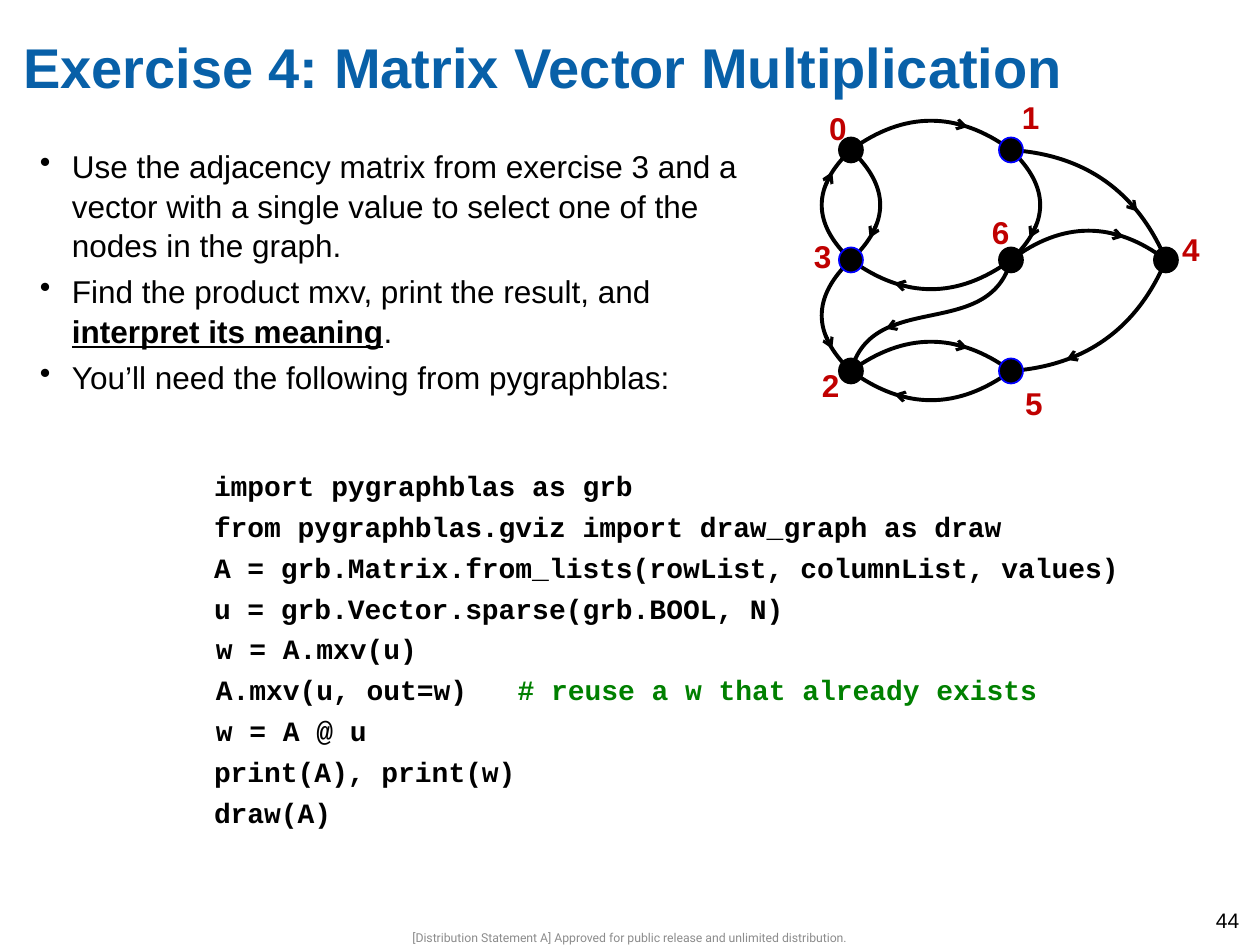
from dataclasses import dataclass, field
from math import hypot
from typing import Any, NamedTuple

from lxml import etree
from pptx import Presentation
from pptx.dml.color import RGBColor
from pptx.enum.shapes import MSO_CONNECTOR, MSO_SHAPE
from pptx.enum.text import MSO_ANCHOR, PP_ALIGN
from pptx.oxml.ns import qn
from pptx.util import Pt

STRAIGHT, OVAL = MSO_CONNECTOR.STRAIGHT, MSO_SHAPE.OVAL
TOP, MIDDLE = MSO_ANCHOR.TOP, MSO_ANCHOR.MIDDLE
LEFT, CENTER = PP_ALIGN.LEFT, PP_ALIGN.CENTER
EMU_PER_PX = 914400 / 126
BLACK, BLUE, RED, GREEN = "000000", "0000FF", "C00000", "008000"
TITLE_BLUE, GREY = "0860A8", "8C8C8C"
NODE_WIDTH, NODE_HEIGHT = 24, 25
LABEL_WIDTH, LABEL_HEIGHT = 34, 42
ARROW_LENGTH = 17
LABEL_INSETS = (13, 6, 13, 6)
NO_INSETS = (0, 0, 0, 0)
# Node centres stand on a grid of three columns and three rows
COLUMNS, ROWS = (851, 1011, 1166), (150, 260, 371)

Point = tuple[float, float]


class Box(NamedTuple):
    left: int
    top: int
    width: int
    height: int


class Node(NamedTuple):
    column: int
    row: int
    label_left: int
    label_top: int
    outline: str = BLACK

    @property
    def center(self) -> Point:
        return COLUMNS[self.column], ROWS[self.row]


class Edge(NamedTuple):
    """A Bézier curve whose handles stand off the chord; negative is to its left."""
    source: int
    target: int
    first_bend: int = -39
    second_bend: int = -39


@dataclass
class Run:
    text: str
    format: dict[str, Any] = field(default_factory=dict)


@dataclass
class Paragraph:
    runs: list[Run]
    margin: int = 0
    bullet: bool = False


@dataclass
class TextStyle:
    font: dict[str, Any]
    color: str = BLACK
    align: Any = LEFT
    anchor: Any = TOP
    insets: tuple[int, int, int, int] = NO_INSETS
    wrap: bool = True
    line_spacing: float = 1.0
    space_before: float = 0


def px(length: float) -> int:
    return round(length * EMU_PER_PX)


def rgb(value: str) -> RGBColor:
    return RGBColor.from_string(value)


def apply(target: Any, values: dict[str, Any]) -> None:
    for name, value in values.items():
        setattr(target, name, value)


def fill_text(frame, paragraphs: list[Paragraph], style: TextStyle) -> None:
    sides = ("margin_left", "margin_top", "margin_right", "margin_bottom")
    apply(frame, dict(zip(sides, map(px, style.insets))))
    apply(frame, {"word_wrap": style.wrap, "vertical_anchor": style.anchor})
    for index, content in enumerate(paragraphs):
        paragraph = frame.add_paragraph() if index else frame.paragraphs[0]
        apply(paragraph, {"alignment": style.align, "line_spacing": style.line_spacing})
        if index:
            paragraph.space_before = Pt(style.space_before)
        properties = paragraph._p.get_or_add_pPr()
        properties.set("marL", str(px(content.margin)))
        if content.bullet:
            properties.set("indent", str(-px(content.margin)))
            etree.SubElement(properties, qn("a:buChar"), char="•")
        for part in content.runs:
            run = paragraph.add_run()
            run.text = part.text
            values = {**style.font, **part.format}
            run.font.color.rgb = rgb(values.pop("color", style.color))
            apply(run.font, values)


def add_text(shapes, box: Box, paragraphs: list[Paragraph], style: TextStyle) -> None:
    fill_text(shapes.add_textbox(*map(px, box)).text_frame, paragraphs, style)


def set_line(shape, color: str, width: float) -> None:
    shape.line.color.rgb = rgb(color)
    shape.line.width = Pt(width)


def curve_point(points: list[Point], t: float) -> Point:
    weights = ((1 - t) ** 3, 3 * t * (1 - t) ** 2, 3 * t ** 2 * (1 - t), t ** 3)
    x, y = (sum(w * v for w, v in zip(weights, axis)) for axis in zip(*points))
    return x, y


def add_edge(shapes, edge: Edge) -> None:
    start, end = NODES[edge.source].center, NODES[edge.target].center
    dx, dy = end[0] - start[0], end[1] - start[1]
    length = hypot(dx, dy)
    handles = [(start[0] + dx * share - dy / length * bend,
                start[1] + dy * share + dx / length * bend)
               for share, bend in ((1 / 3, edge.first_bend), (2 / 3, edge.second_bend))]
    points = [start, *handles, end]

    # Short arrow lying on the curve
    tip = 0.73 if dx else 0.8
    begin = curve_point(points, tip - ARROW_LENGTH / length)
    arrow = shapes.add_connector(STRAIGHT, *map(px, begin + curve_point(points, tip)))
    set_line(arrow, BLACK, 1.75)
    etree.SubElement(arrow.line._get_or_add_ln(), qn("a:tailEnd"), type="arrow")
    etree.SubElement(arrow._element.spPr, qn("a:effectLst"))

    # The three straight segments become one cubic curve
    builder = shapes.build_freeform(*map(px, start))
    builder.add_line_segments([(px(x), px(y)) for x, y in points[1:]], close=False)
    curve = builder.convert_to_shape()
    curve.shadow.inherit = False
    curve.fill.background()
    set_line(curve, BLACK, 2.25)
    outline = curve._element.find(".//" + qn("a:path"))
    segments = outline.findall(qn("a:lnTo"))
    cubic = etree.SubElement(outline, qn("a:cubicBezTo"))
    for segment in segments:
        cubic.append(segment[0])
        outline.remove(segment)


def add_node(shapes, label: str, node: Node) -> None:
    x, y = node.center
    dot = shapes.add_shape(OVAL, px(x - NODE_WIDTH / 2), px(y - NODE_HEIGHT / 2),
                           px(NODE_WIDTH), px(NODE_HEIGHT))
    dot.shadow.inherit = False
    dot.fill.solid()
    dot.fill.fore_color.rgb = rgb(BLACK)
    set_line(dot, node.outline, 1)
    add_text(shapes, Box(node.label_left, node.label_top, LABEL_WIDTH, LABEL_HEIGHT),
             [Paragraph([Run(label)])], LABEL_STYLE)


TITLE_STYLE = TextStyle({"name": "Arial", "size": Pt(32), "bold": True}, TITLE_BLUE,
                        line_spacing=1.1)
BODY_STYLE = TextStyle({"name": "Arial", "size": Pt(18)}, line_spacing=1.05, space_before=3.6)
CODE_STYLE = TextStyle({"name": "Courier New", "size": Pt(16), "bold": True},
                       line_spacing=1.05, space_before=3.2)
LABEL_STYLE = TextStyle({"name": "Arial", "size": Pt(18), "bold": True}, RED,
                        insets=LABEL_INSETS, wrap=False)
NUMBER_STYLE = TextStyle({"name": "Arial", "size": Pt(12)}, insets=LABEL_INSETS)
FOOTER_STYLE = TextStyle({"name": "Roboto", "size": Pt(7)}, GREY, CENTER, MIDDLE)

TITLE = "Exercise 4: Matrix Vector Multiplication"
FOOTER = "[Distribution Statement A] Approved for public release and unlimited distribution."
TASKS = [
    [Run("Use the adjacency matrix from exercise 3 and a vector with a single value "
         "to select one of the nodes in the graph.")],
    [Run("Find the product mxv, print the result, and "),
     Run("interpret its meaning", {"bold": True, "underline": True}), Run(".")],
    [Run("You’ll need the following from pygraphblas:")],
]
CODE = [
    Paragraph([Run("import pygraphblas as grb")]),
    Paragraph([Run("from pygraphblas.gviz import draw_graph as draw")]),
    Paragraph([Run("A = grb.Matrix.from_lists(rowList, columnList, values)")]),
    Paragraph([Run("u = grb.Vector.sparse(grb.BOOL, N)")]),
    Paragraph([Run("w = A.mxv(u)")], margin=2),
    Paragraph([Run("A.mxv(u, out=w)   "),
               Run("# reuse a w that already exists", {"color": GREEN})], margin=2),
    Paragraph([Run("w = A @ u")], margin=2),
    Paragraph([Run("print(A), print(w)")]),
    Paragraph([Run("draw(A)")]),
]
# Each node is labelled with its place in this list
NODES = [Node(0, 0, 816, 103), Node(1, 0, 1009, 92, BLUE), Node(0, 2, 809, 360),
         Node(0, 1, 801, 231, BLUE), Node(2, 1, 1169, 224), Node(1, 2, 1012, 378, BLUE),
         Node(1, 1, 979, 207)]
EDGES = [Edge(3, 0), Edge(0, 3), Edge(0, 1), Edge(6, 2, -55, 55), Edge(6, 4), Edge(2, 5),
         Edge(5, 2), Edge(6, 3), Edge(3, 2, 39, 39), Edge(1, 6), Edge(4, 5), Edge(1, 4)]


def main() -> None:
    deck = Presentation()
    apply(deck, {"slide_width": px(1260), "slide_height": px(945)})
    shapes = deck.slides.add_slide(deck.slide_layouts[5]).shapes

    # Title and tasks
    title = shapes.title
    apply(title, {"left": px(23), "top": px(26), "width": px(1237), "height": px(122)})
    fill_text(title.text_frame, [Paragraph([Run(TITLE)])], TITLE_STYLE)
    add_text(shapes, Box(40, 145, 743, 262),
             [Paragraph(runs, margin=32, bullet=True) for runs in TASKS], BODY_STYLE)

    # Directed graph
    graph = shapes.add_group_shape().shapes
    for edge in EDGES:
        add_edge(graph, edge)
    for number, node in enumerate(NODES):
        add_node(graph, str(number), node)

    # Code, footer and page number
    add_text(shapes, Box(214, 467, 952, 386), CODE, CODE_STYLE)
    add_text(shapes, Box(360, 930, 539, 15), [Paragraph([Run(FOOTER)])], FOOTER_STYLE)
    add_text(shapes, Box(1203, 902, 57, 42), [Paragraph([Run("44")])], NUMBER_STYLE)
    deck.save("out.pptx")


if __name__ == "__main__":
    main()
